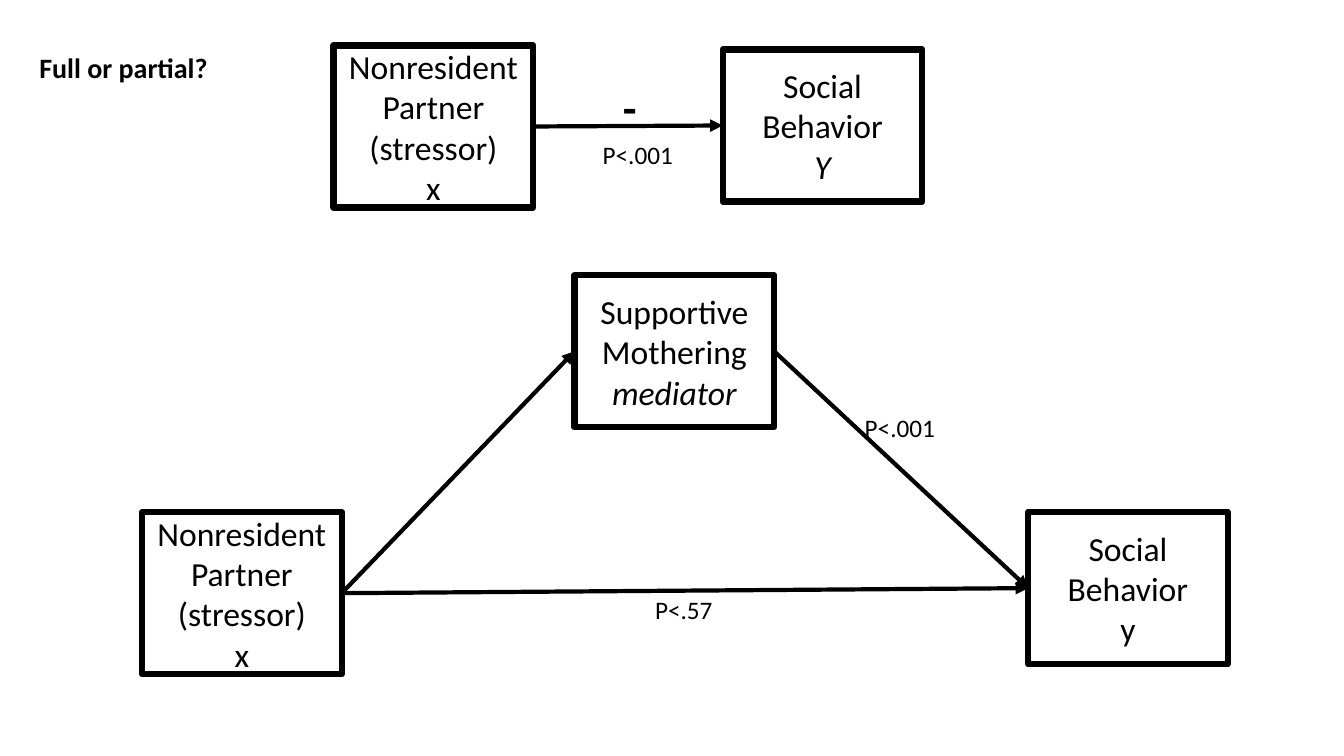
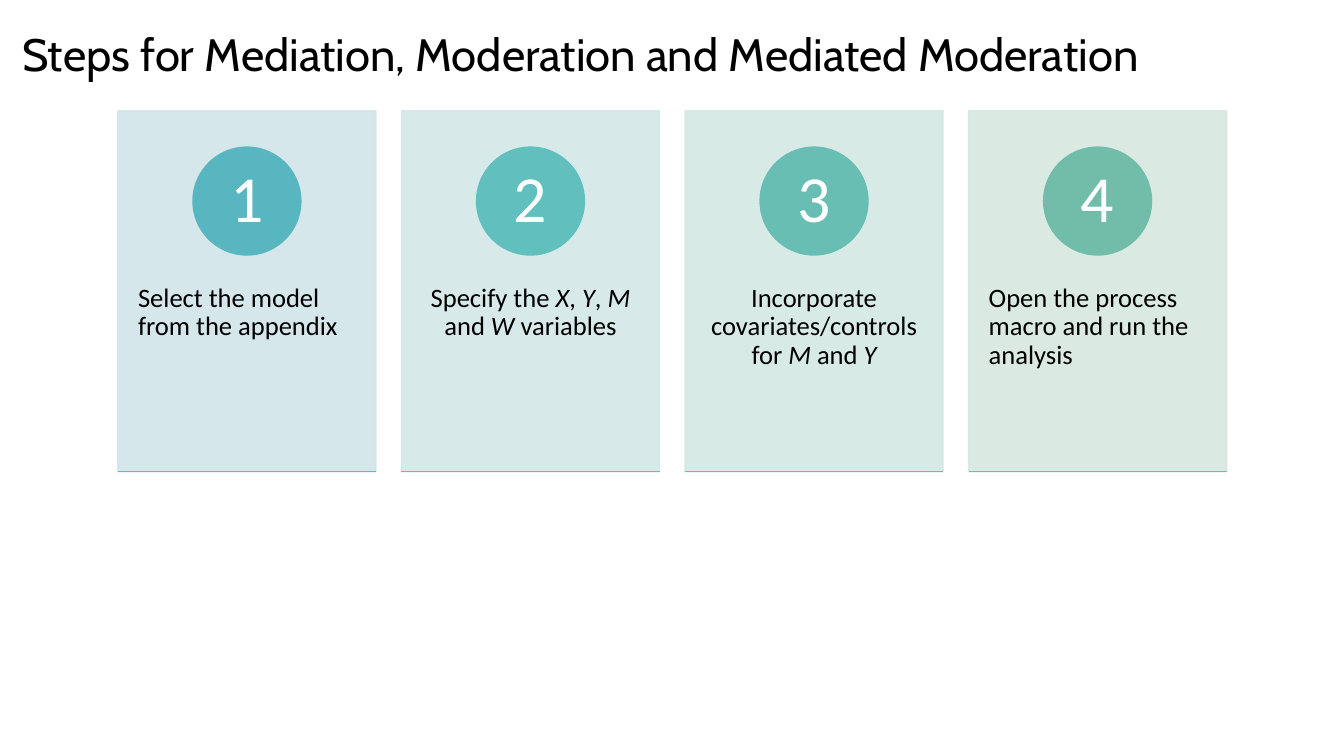
from dataclasses import dataclass

from lxml import etree
from pptx import Presentation
from pptx import util as u
from pptx.dml.color import RGBColor
from pptx.enum import shapes, text
from pptx.oxml.ns import qn

WIDE, HIGH = 133.33, 75  # grid columns and rows
CELL = u.Inches(0.1)
LEFT, MID = text.PP_ALIGN.LEFT, text.PP_ALIGN.CENTER
TOP, CORE, BASE = (text.MSO_ANCHOR.TOP, text.MSO_ANCHOR.MIDDLE,
                   text.MSO_ANCHOR.BOTTOM)


@dataclass(frozen=True)
class Theme:
    ink: str = "000000"
    pale: str = "FFFFFF"
    cards: tuple = ("D1E5E8", "D3E8E7", "D4E8E4", "D6E8E1")
    discs: tuple = ("58B6C0", "61BFBD", "69BEB3", "71BDAA")
    rules: tuple = ("5CBCBF", "65BEB8", "6DBEAE", "75BDA7")
    face: str = "Calibri"
    head: str = "Cabin"
    tiny: float = 18
    step: float = 19
    note: float = 20
    node: float = 24
    sign: float = 32
    main: float = 32.4
    digit: float = 47
    frame: float = 4.5
    arrow: float = 3
    hair: float = 1


def cells(*sizes):
    return [round(size * CELL) for size in sizes]


class Deck:
    def __init__(self, theme):
        self.theme = theme
        self.file = Presentation()
        self.file.slide_width, self.file.slide_height = cells(WIDE, HIGH)
        self.slide = None

    def page(self):
        self.slide = self.file.slides.add_slide(self.file.slide_layouts[5])

    def fill_text(self, shape, lines, size, color=None, face=None, bold=False,
                  align=MID, anchor=CORE, pad=(1, 0.5), lead=None, wrap=True):
        """Fill a shape with paragraphs; asterisks enclose italic words."""
        frame = shape.text_frame
        frame.word_wrap = wrap
        frame.auto_size = text.MSO_AUTO_SIZE.NONE
        frame.vertical_anchor = anchor
        side, edge = cells(*pad)
        frame.margin_left = frame.margin_right = side
        frame.margin_top = frame.margin_bottom = edge
        for row, line in enumerate(lines):
            para = frame.add_paragraph() if row else frame.paragraphs[0]
            para.alignment = align
            if lead:
                para.line_spacing = lead
            for part, words in enumerate(line.split("*")):
                if not words:
                    continue
                run = para.add_run()
                run.text = words
                font = run.font
                font.name, font.size = face or self.theme.face, u.Pt(size)
                font.bold, font.italic = bold, part % 2 == 1
                font.color.rgb = RGBColor.from_string(color or self.theme.ink)

    def title(self, words, at, size, **style):
        head = self.slide.shapes.title
        head.left, head.top, head.width, head.height = cells(*at)
        self.fill_text(head, [words], size, align=LEFT, **style)

    def label(self, lines, at, size, **style):
        box = self.slide.shapes.add_textbox(*cells(*at))
        self.fill_text(box, lines, size,
                       **{"anchor": TOP, "align": LEFT, **style})

    def shape(self, kind, at, line, width, fill=None, alpha=None):
        item = self.slide.shapes.add_shape(kind, *cells(*at))
        item.shadow.inherit = False
        if fill:
            item.fill.solid()
            item.fill.fore_color.rgb = RGBColor.from_string(fill)
        else:
            item.fill.background()
        item.line.color.rgb = RGBColor.from_string(line)
        item.line.width = u.Pt(width)
        if alpha:
            for tint in item.element.spPr.iter(qn("a:srgbClr")):
                etree.SubElement(tint, qn("a:alpha"), val=str(alpha * 1000))
        return item

    def node(self, lines, left, top, high=15.1):
        box = self.shape(shapes.MSO_SHAPE.RECTANGLE, (left, top, 19.8, high),
                         self.theme.ink, self.theme.frame)
        self.fill_text(box, lines, self.theme.node)
        return box

    def line(self, ends, color, width):
        item = self.slide.shapes.add_connector(
            shapes.MSO_CONNECTOR.STRAIGHT, *cells(*ends))
        item.line.color.rgb = RGBColor.from_string(color)
        item.line.width = u.Pt(width)
        etree.SubElement(item.element.spPr, qn("a:effectLst"))
        return item

    def arrow(self, start, end):
        """Join the right side of one box to the left side of another."""
        item = self.line((0, 0, 0, 0), self.theme.ink, self.theme.arrow)
        item.begin_connect(start, 3)
        item.end_connect(end, 1)
        stroke = item.element.spPr.find(qn("a:ln"))
        etree.SubElement(stroke, qn("a:tailEnd"), type="triangle")

    def card(self, index, words, align):
        theme = self.theme
        left, top, wide, high, disc = 11.7 + 28.13 * index, 11, 25.6, 35.8, 10.7
        tint, tone = theme.cards[index], theme.discs[index]
        self.shape(shapes.MSO_SHAPE.RECTANGLE, (left, top, wide, high),
                   tint, theme.hair, tint, alpha=90)
        self.label([words], (left, 24.6, wide, 21.5), theme.step,
                   align=align, pad=(2, 3.6), lead=0.9)
        ball = self.shape(shapes.MSO_SHAPE.OVAL,
                          (left + (wide - disc) / 2, top + 3.6, disc, disc),
                          tone, theme.hair, tone)
        self.fill_text(ball, [str(index + 1)], theme.digit, color=theme.pale,
                       pad=(0.8, 0.1), lead=0.9)
        self.line((left, top + high, left + wide, top + high),
                  theme.rules[index], theme.hair)


def paths(deck):
    theme = deck.theme
    deck.page()
    deck.title("Full or partial?", (2.9, 4.5, 18.8, 4.4), theme.note,
               bold=True, anchor=TOP, wrap=False)
    cause = ["Nonresident Partner", "(stressor)", "x"]
    source = deck.node(cause, 33.1, 4.5, 16.1)
    result = deck.node(["Social Behavior", "*Y*"], 71.7, 4.9)
    origin = deck.node(cause, 14.1, 50.8, 16.1)
    middle = deck.node(["Supportive Mothering", "*mediator*"], 57, 27.3)
    target = deck.node(["Social Behavior", "y"], 102, 50.8)
    for start, end in ((source, result), (middle, target),
                       (origin, target), (origin, middle)):
        deck.arrow(start, end)
    deck.label(["-"], (60.8, 7.4, 5.7, 6.4), theme.sign, bold=True)
    for words, left, top, wide in (("P<.001", 58.8, 13.3, 9.2),
                                   ("P<.57", 64, 58.5, 7.7),
                                   ("P<.001", 84.8, 40.4, 9.2)):
        deck.label([words], (left, top, wide, 4), theme.tiny, wrap=False)


def steps(deck):
    deck.page()
    deck.title("Steps for Mediation, Moderation and Mediated Moderation",
               (1.2, 1.7, 127.4, 6.9), deck.theme.main,
               face=deck.theme.head, anchor=BASE, lead=0.9)
    tasks = (("Select the model from the appendix", LEFT),
             ("Specify the *X*, *Y*, *M* and *W* variables", MID),
             ("Incorporate covariates/controls for *M *and *Y*", MID),
             ("Open the process macro and run the analysis", LEFT))
    for index, (words, align) in enumerate(tasks):
        deck.card(index, words, align)


def main():
    deck = Deck(Theme())
    paths(deck)
    steps(deck)
    deck.file.save("out.pptx")


if __name__ == "__main__":
    main()
